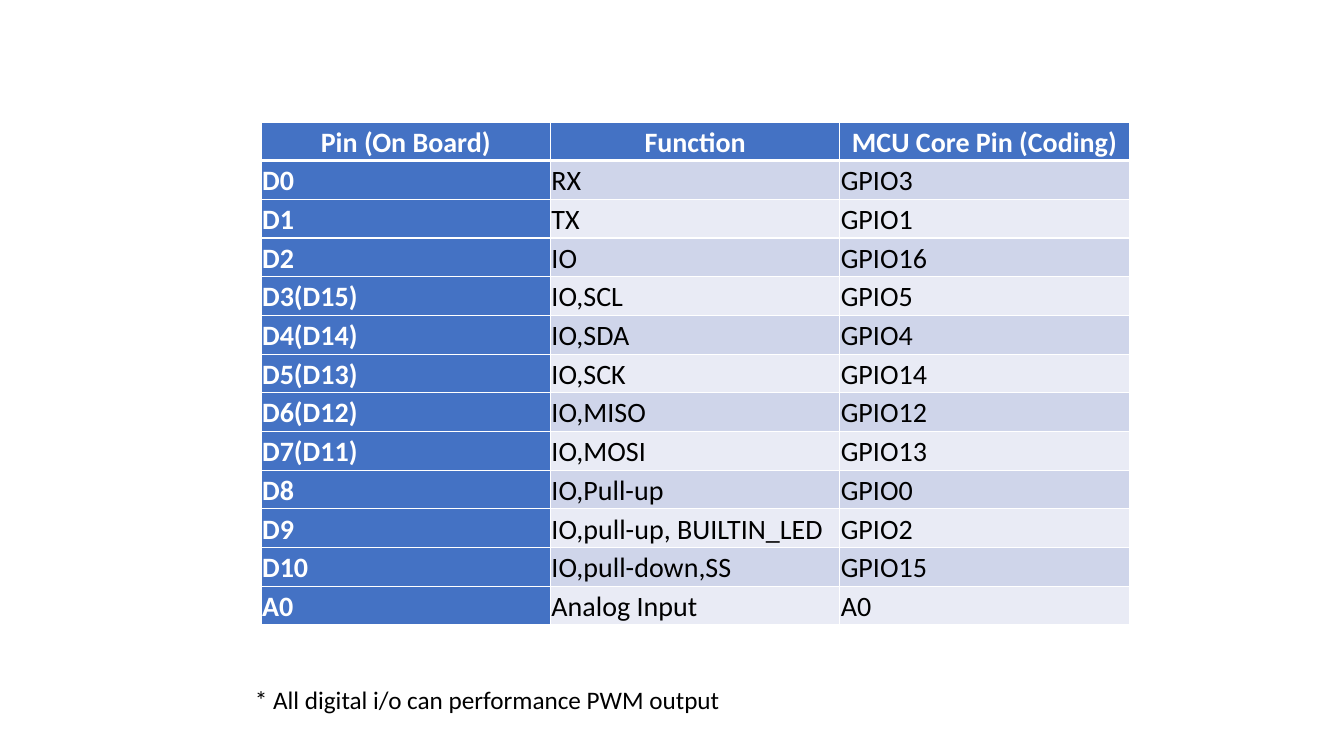
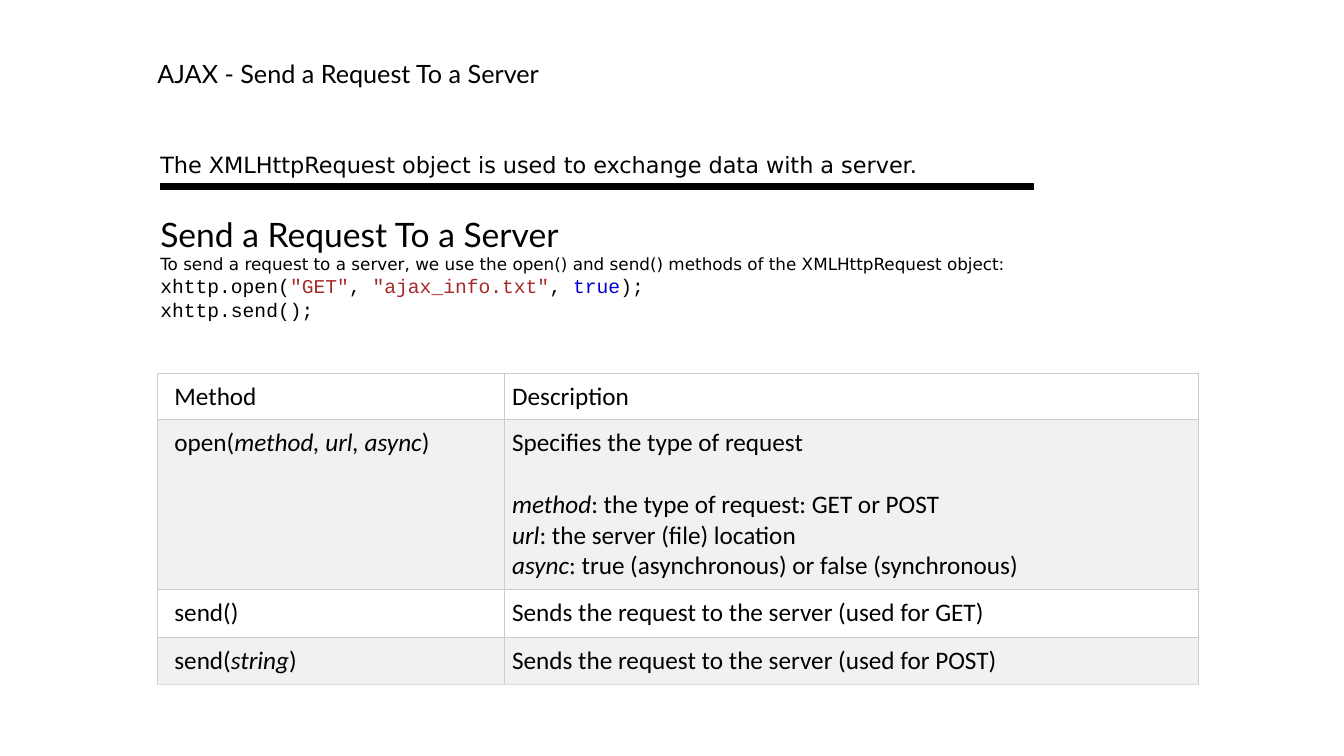
from lxml.etree import SubElement
from pptx import Presentation
from pptx.dml.color import RGBColor
from pptx.enum.shapes import MSO_SHAPE as Shape
from pptx.enum.text import MSO_ANCHOR as Anchor, MSO_AUTO_SIZE as AutoSize, PP_ALIGN as Align
from pptx.oxml.ns import qn
from pptx.util import Inches, Pt

# Shared look
BLACK, WHITE = "000000", "FFFFFF"
BLUE, BANDS = "4472C4", ("E9EBF5", "CFD5EA")
GRAY, GRID, GRID_END = "F1F1F1", "CCCCCC", "DDDDDD"
STRING_RED, KEYWORD_BLUE = "A52A2A", "0000CD"
BODY = {"name": "Calibri", "size": Pt(18), "bold": False, "italic": False, "color": BLACK}
HEADING = BODY | {"name": "Lato"}
PROSE = BODY | {"name": "DejaVu Sans", "size": Pt(16)}
CODE = BODY | {"name": "Courier New", "size": Pt(14)}
ITALIC = {"italic": True}

# Content
PIN_ROWS = [
    ("Pin (On Board)", "Function", "MCU Core Pin (Coding)"),
    ("D0", "RX", "GPIO3"),
    ("D1", "TX", "GPIO1"),
    ("D2", "IO", "GPIO16"),
    ("D3(D15)", "IO,SCL", "GPIO5"),
    ("D4(D14)", "IO,SDA", "GPIO4"),
    ("D5(D13)", "IO,SCK", "GPIO14"),
    ("D6(D12)", "IO,MISO", "GPIO12"),
    ("D7(D11)", "IO,MOSI", "GPIO13"),
    ("D8", "IO,Pull-up", "GPIO0"),
    ("D9", "IO,pull-up, BUILTIN_LED", "GPIO2"),
    ("D10", "IO,pull-down,SS", "GPIO15"),
    ("A0", "Analog Input", "A0"),
]
# Each cell is a list of paragraphs, each paragraph a list of (text, changes)
METHOD_ROWS = [
    ([[("Method", {})]], [[("Description", {})]]),
    ([[("open(", {}), ("method, url, async", ITALIC), (")", {})]],
     [[("Specifies the type of request", {})],
      [("method", ITALIC), (": the type of request: GET or POST", {})],
      [("url", ITALIC), (": the server (file) location", {})],
      [("async", ITALIC), (": true (asynchronous) or false (synchronous)", {})]]),
    ([[("send()", {})]], [[("Sends the request to the server (used for GET)", {})]]),
    ([[("send(", {}), ("string", ITALIC), (")", {})]],
     [[("Sends the request to the server (used for POST)", {})]]),
]
REQUEST_TEXT = [
    [("Send a Request To a Server", HEADING | {"size": Pt(24)})],
    [("To send a request to a server, we use the open() and send() methods "
      "of the XMLHttpRequest object:", PROSE | {"size": Pt(12)})],
    [("xhttp.open(", {}), ('"GET"', {"color": STRING_RED}), (", ", {}),
     ('"ajax_info.txt"', {"color": STRING_RED}), (", ", {}),
     ("true", {"color": KEYWORD_BLUE}), (");", {})],
    [("xhttp.send();", {})],
]


def paint(target, color):
    """Give a fill or line a solid colour."""
    fill = getattr(target, "fill", target)
    fill.solid()
    fill.fore_color.rgb = RGBColor.from_string(color)


def style_font(font, values):
    for key, value in values.items():
        if key == "color":
            font.color.rgb = RGBColor.from_string(value)
        else:
            setattr(font, key, value)


def write(frame, paragraphs, base, **paragraph_format):
    for index, pieces in enumerate(paragraphs):
        paragraph = frame.add_paragraph() if index else frame.paragraphs[0]
        for key, value in paragraph_format.items():
            setattr(paragraph, key, value)
        for text, changes in pieces:
            run = paragraph.add_run()
            run.text = text
            style_font(run.font, base | changes)


def place(shape, box):
    for key, value in zip(("left", "top", "width", "height"), box):
        setattr(shape, key, Inches(value))


def add_grid(slide, box, widths, heights):
    grid = slide.shapes.add_table(len(heights), len(widths), *map(Inches, box)).table
    for column, width in zip(grid.columns, widths):
        column.width = Inches(width)
    for row, height in zip(grid.rows, heights):
        row.height = Inches(height)
    return grid


def style_cell(cell, color, margins, border, points, bottom=None):
    """Set margins, borders and fill; bottom is an optional (colour, points)."""
    for side, margin in zip(("left", "top", "right", "bottom"), margins):
        setattr(cell, f"margin_{side}", Inches(margin))
    properties = cell._tc.get_or_add_tcPr()
    for side in "LRTB":
        tone, width = bottom if bottom and side == "B" else (border, points)
        line = SubElement(properties, qn(f"a:ln{side}"), w=str(Pt(width)))
        SubElement(SubElement(line, qn("a:solidFill")), qn("a:srgbClr"), val=tone)
    paint(cell, color)


def add_panel(slide, box, color, margin=0, paragraphs=(), base=BODY):
    panel = slide.shapes.add_shape(Shape.RECTANGLE, *map(Inches, box))
    panel.shadow.inherit = False
    paint(panel, color)
    panel.line.fill.background()
    frame = panel.text_frame
    frame.word_wrap = True
    frame.vertical_anchor = Anchor.MIDDLE
    frame.margin_left = frame.margin_right = 0
    frame.margin_top = frame.margin_bottom = Inches(margin)
    write(frame, paragraphs, base, alignment=Align.LEFT)
    return panel


def build_pin_slide(deck):
    slide = deck.slides.add_slide(deck.slide_layouts[6])

    # Pin table
    count = len(PIN_ROWS)
    grid = add_grid(slide, (2.59, 1.21, 8.61, 4.73), [2.87] * 3, [4.73 / count] * count)
    for r, row in enumerate(PIN_ROWS):
        for c, text in enumerate(row):
            cell = grid.cell(r, c)
            label = r == 0 or c == 0
            style_cell(cell, BLUE if label else BANDS[r % 2], [0.01] * 4, WHITE, 1,
                       bottom=None if r else (WHITE, 3))
            cell.vertical_anchor = Anchor.MIDDLE
            look = {"size": Pt(20), "bold": label, "color": WHITE if label else BLACK}
            write(cell.text_frame, [[(text, look)]], BODY, line_spacing=1.07,
                  alignment=Align.LEFT if r else Align.CENTER)

    # Footnote
    note = slide.shapes.add_textbox(*map(Inches, (2.43, 6.74, 4.87, 0.4))).text_frame
    note.word_wrap = False
    write(note, [[("* All digital i/o can performance PWM output", {})]], BODY)


def build_request_slide(deck):
    slide = deck.slides.add_slide(deck.slide_layouts[5])

    # Title
    title = slide.shapes.title
    place(title, (1.46, 0.53, 4.01, 0.4))
    frame = title.text_frame
    frame.word_wrap = False
    frame.auto_size = AutoSize.NONE
    frame.vertical_anchor = Anchor.TOP
    write(frame, [[("AJAX - Send a Request To a Server", {})]], HEADING, alignment=Align.LEFT)

    # Method table
    grid = add_grid(slide, (1.56, 3.7, 10.33, 3.07), (3.44, 6.89), (0.46, 1.67, 0.47, 0.47))
    last = len(METHOD_ROWS) - 1
    for r, row in enumerate(METHOD_ROWS):
        for c, paragraphs in enumerate(row):
            cell = grid.cell(r, c)
            style_cell(cell, GRAY if r % 2 else WHITE, (0.08 if c else 0.17, 0.08, 0.08, 0.08),
                       GRID, 0.75, bottom=(GRID_END, 0.75) if r == last else None)
            write(cell.text_frame, paragraphs, BODY)
    grid.cell(1, 1).text_frame.paragraphs[0].space_after = Pt(22)

    # Statement, rule and code sample
    statement = "The XMLHttpRequest object is used to exchange data with a server."
    add_panel(slide, (1.59, 1.3, 8.6, 0.67), WHITE, 0.2, [[(statement, {})]], PROSE)
    rule = add_panel(slide, (1.59, 1.82, 8.66, 0.06), BLACK)
    paint(rule.line, BLACK)
    rule.line.width = Pt(0.75)
    add_panel(slide, (1.59, 2.02, 9, 1.27), WHITE, 0.1, REQUEST_TEXT, CODE)


def main():
    deck = Presentation()
    deck.slide_width, deck.slide_height = Inches(13.33), Inches(7.5)
    build_pin_slide(deck)
    build_request_slide(deck)
    deck.save("out.pptx")


if __name__ == "__main__":
    main()
